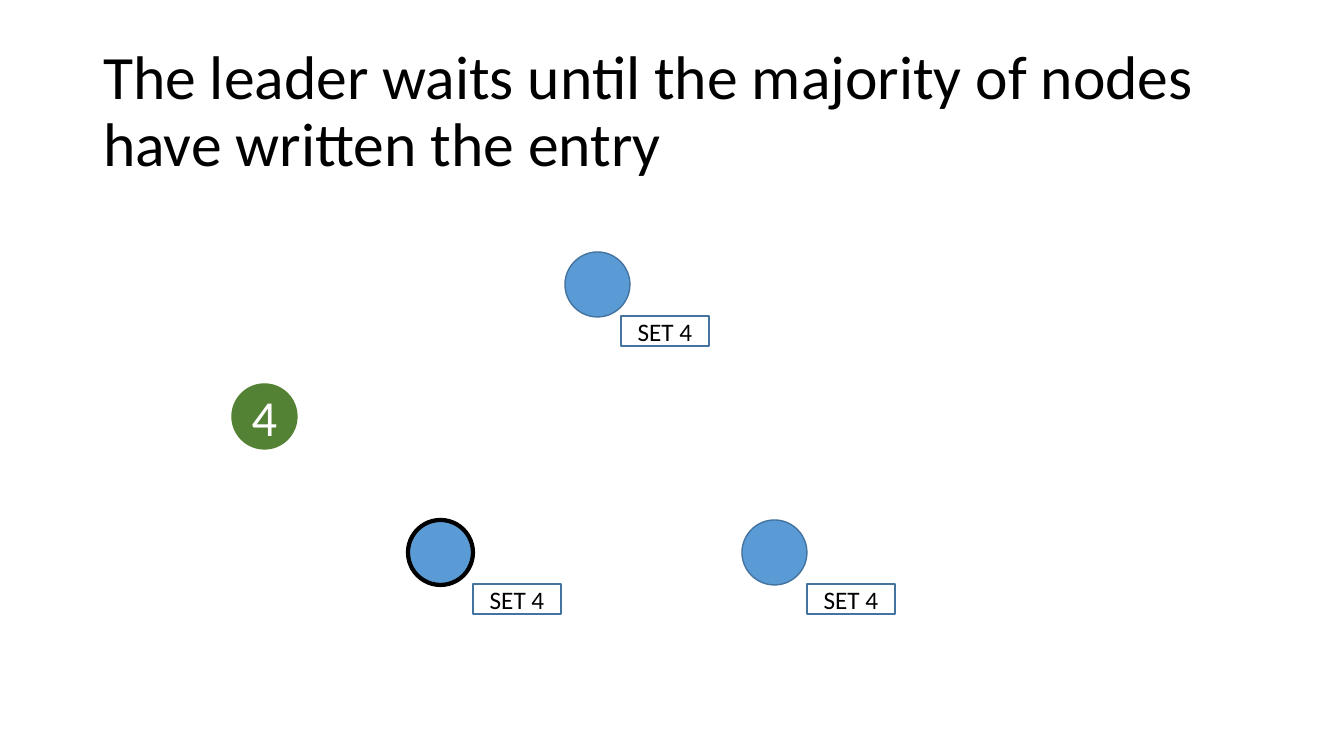
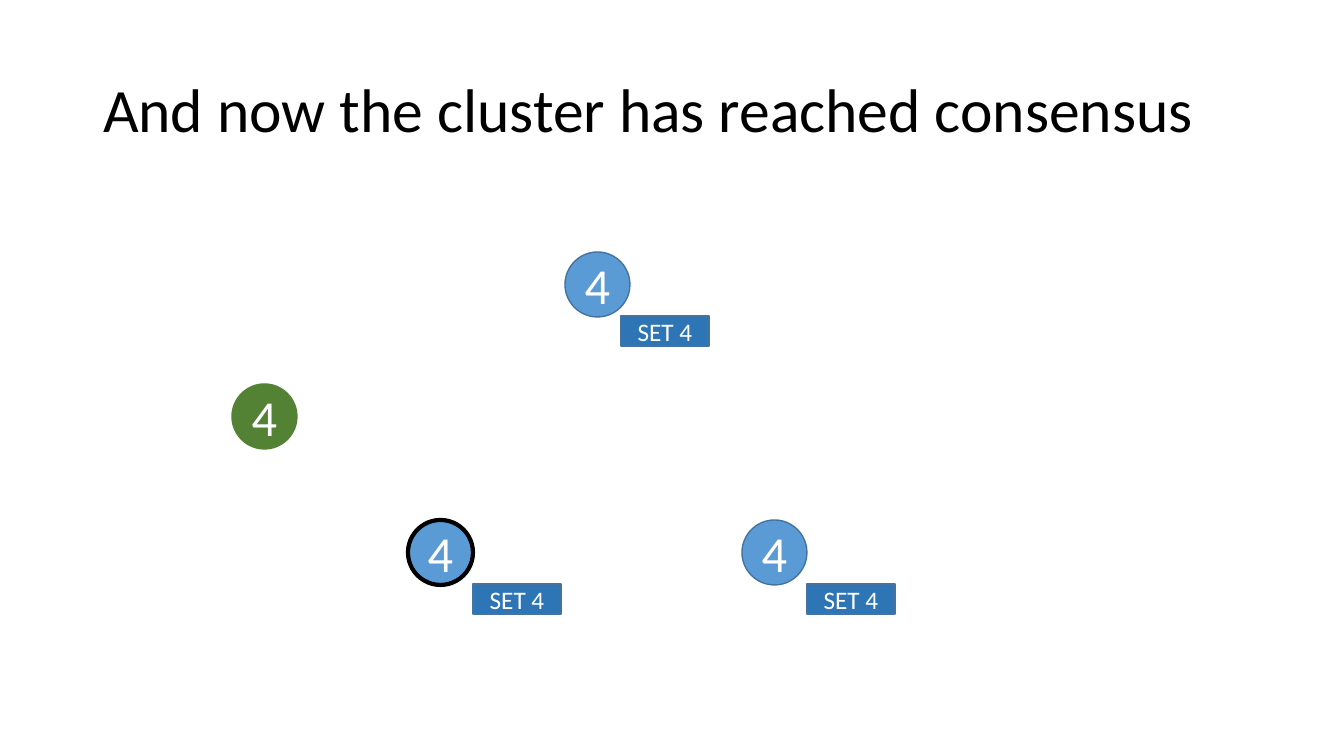
from pptx import Presentation
from pptx import util as u
from pptx.dml.color import RGBColor
from pptx.enum import shapes, text

# Content: title, value held by the nodes, entry fill and entry text colour
STEPS = [
    ("The leader waits until the majority of nodes have written the entry",
     "", "FFFFFF", "000000"),
    ("And now the cluster has reached consensus", "4", "2E75B6", "FFFFFF"),
]
ENTRY = "SET 4"
CLIENT_VALUE = "4"

# Shared look
FONT = "Calibri"
BLACK, WHITE = "000000", "FFFFFF"
BLUE, BLUE_EDGE, GREEN = "5B9BD5", "43739E", "548235"

# Places in pixels
SLIDE = (1344, 756)
TITLE = (93, 40, 1159, 146)
DIAMETER = 65
ENTRY_SIZE = (88, 30)
CLIENT = (232, 384)
# Node left and top, shift of its entry to the right, edge colour and width
NODES = [
    ((565, 252), 56, BLUE_EDGE, 1),
    ((408, 520), 65, BLACK, 3),
    ((742, 520), 65, BLUE_EDGE, 1),
]


def px(length):
    return round(length * 914400 / 100.8)


def rgb(colour):
    return RGBColor.from_string(colour)


def style_text(frame, size, colour, align):
    frame.vertical_anchor = text.MSO_ANCHOR.MIDDLE
    for paragraph in frame.paragraphs:
        paragraph.alignment = align
        for run in paragraph.runs:
            run.font.name = FONT
            run.font.size = u.Pt(size)
            run.font.color.rgb = rgb(colour)


def place(shape, box):
    shape.left, shape.top, shape.width, shape.height = map(px, box)


def add_title(slide, words):
    title = slide.shapes.title
    frame = title.text_frame
    frame.text = words
    frame.auto_size = text.MSO_AUTO_SIZE.NONE
    frame.paragraphs[0].line_spacing = 0.9
    style_text(frame, 44, BLACK, text.PP_ALIGN.LEFT)


def add_box(slide, kind, box, fill, edge, edge_width, words, size, colour):
    shape = slide.shapes.add_shape(kind, *map(px, box))
    shape.shadow.inherit = False
    shape.fill.solid()
    shape.fill.fore_color.rgb = rgb(fill)
    shape.line.color.rgb = rgb(edge)
    shape.line.width = u.Pt(edge_width)
    frame = shape.text_frame
    frame.margin_left = frame.margin_right = 0
    frame.margin_top = frame.margin_bottom = 0
    if words:
        frame.text = words
        style_text(frame, size, colour, text.PP_ALIGN.CENTER)


def add_circle(slide, corner, fill, edge, edge_width, value):
    add_box(slide, shapes.MSO_SHAPE.OVAL, (*corner, DIAMETER, DIAMETER),
            fill, edge, edge_width, value, 36, WHITE)


deck = Presentation()
deck.slide_width, deck.slide_height = map(px, SLIDE)
title_only = deck.slide_layouts[5]
place(title_only.placeholders[0], TITLE)

for heading, value, entry_fill, entry_colour in STEPS:
    slide = deck.slides.add_slide(title_only)
    add_title(slide, heading)

    # Client
    add_circle(slide, CLIENT, GREEN, GREEN, 1, CLIENT_VALUE)

    # Cluster nodes, each with its log entry at the lower right
    for (left, top), shift, edge, edge_width in NODES:
        add_circle(slide, (left, top), BLUE, edge, edge_width, value)
        add_box(slide, shapes.MSO_SHAPE.RECTANGLE,
                (left + shift, top + DIAMETER - 1, *ENTRY_SIZE),
                entry_fill, BLUE_EDGE, 1, ENTRY, 18, entry_colour)

deck.save("out.pptx")
